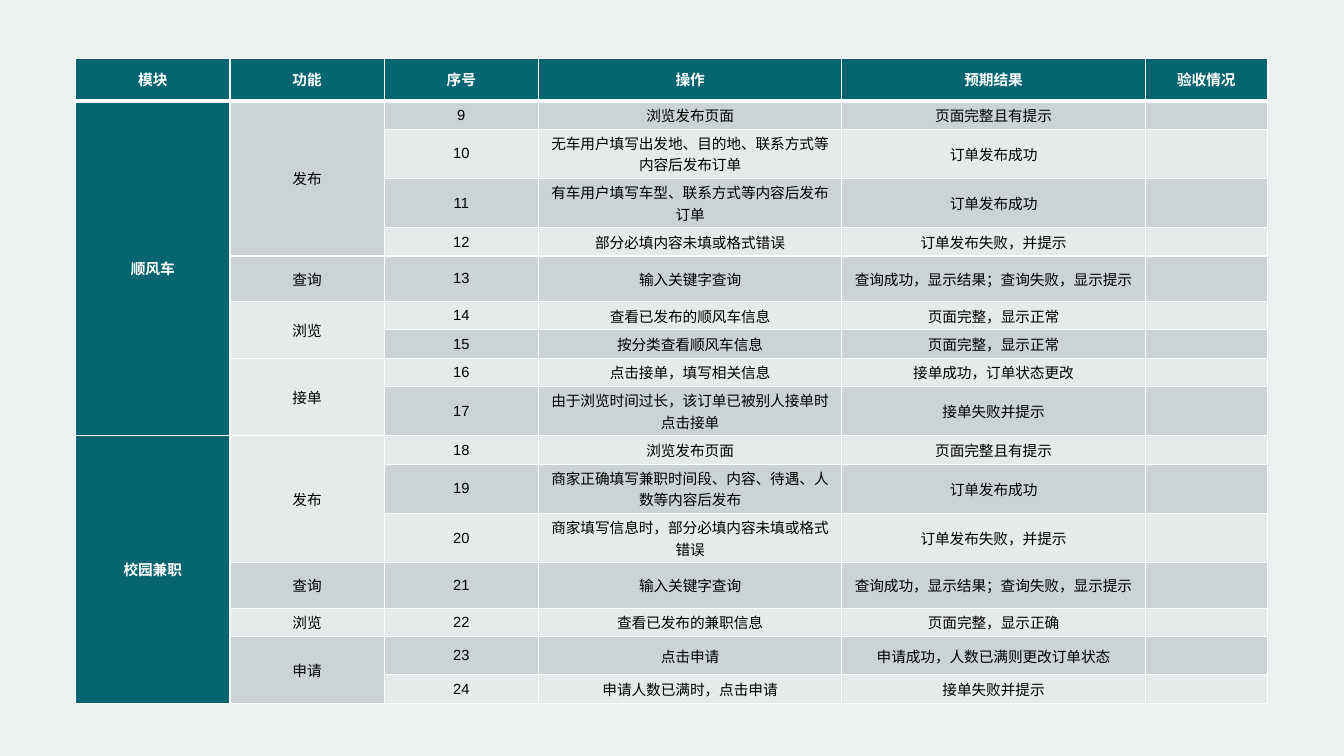
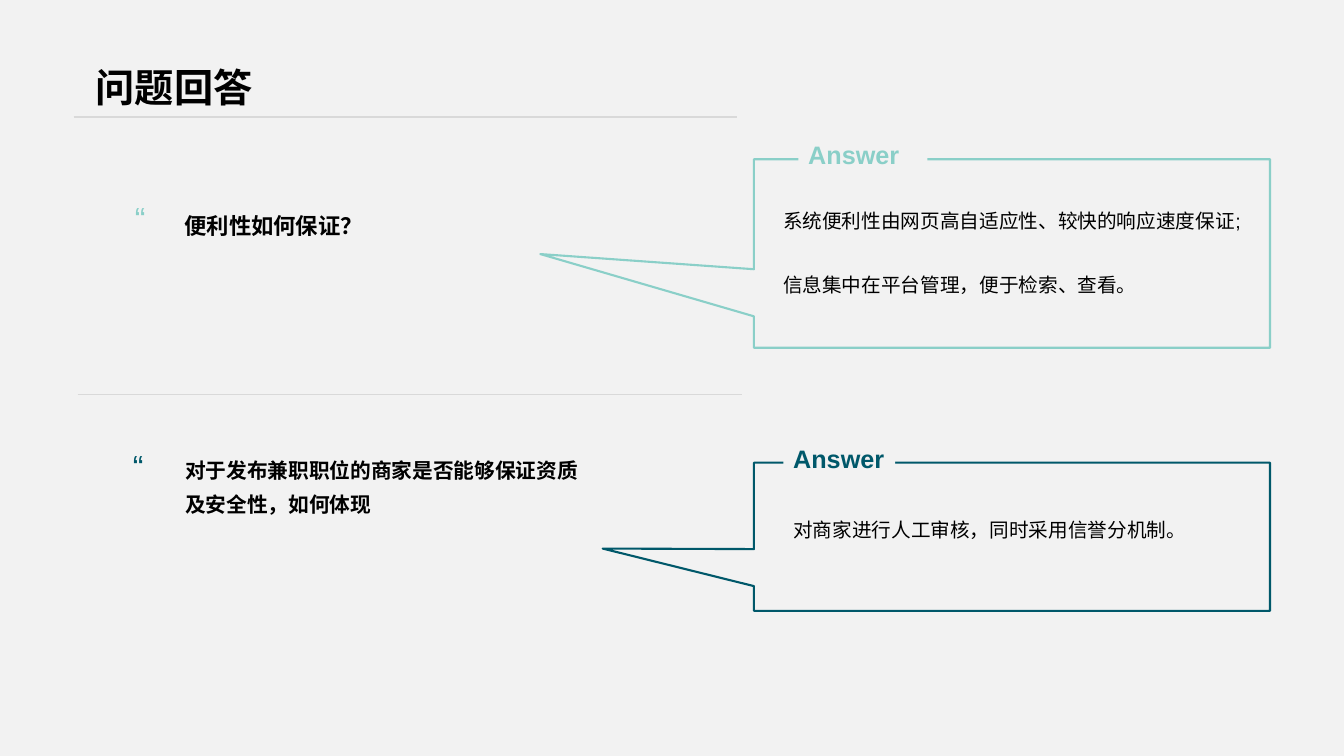
from dataclasses import dataclass

from lxml.etree import SubElement
from pptx import Presentation
from pptx.dml.color import RGBColor
from pptx.enum.shapes import MSO_CONNECTOR, MSO_SHAPE
from pptx.enum.text import MSO_ANCHOR, MSO_AUTO_SIZE, PP_ALIGN
from pptx.oxml import parse_xml
from pptx.oxml.ns import nsdecls, qn
from pptx.util import Inches, Pt


@dataclass(frozen=True)
class Theme:
    font: str = "Arial"
    table_page: str = "EDF0F0"
    answer_page: str = "F2F2F2"
    header: str = "076572"
    dark_stripe: str = "CCD3D5"
    light_stripe: str = "E7EAEB"
    mint: str = "8ACFC8"
    petrol: str = "00586A"
    rule: str = "D9D9D9"
    ink: str = "000000"
    white: str = "FFFFFF"
    title_size: float = 28
    quote_size: float = 22.8
    label_size: float = 18
    question_size: float = 16
    long_question_size: float = 14.8
    answer_size: float = 14
    table_size: float = 10.5


THEME = Theme()
TITLE_ONLY, BLANK = 5, 6

# Table measures, in percent of the slide's width and height
COLUMN_WIDTHS = [11.48, 11.48, 11.48, 22.58, 22.58, 9.08]
HEADER_HEIGHT, SINGLE, MEDIUM, TALL, DOUBLE = 5.6, 3.75, 5.07, 6, 6.53

HEADINGS = ["模块", "功能", "序号", "操作", "预期结果", "验收情况"]
FIRST_NUMBER = 9
# Module -> function -> (operation, expected result, row height)
TESTS = {
    "顺风车": {
        "发布": [
            ("浏览发布页面", "页面完整且有提示", SINGLE),
            ("无车用户填写出发地、目的地、联系方式等内容后发布订单", "订单发布成功", DOUBLE),
            ("有车用户填写车型、联系方式等内容后发布订单", "订单发布成功", DOUBLE),
            ("部分必填内容未填或格式错误", "订单发布失败，并提示", SINGLE),
        ],
        "查询": [("输入关键字查询", "查询成功，显示结果；查询失败，显示提示", TALL)],
        "浏览": [
            ("查看已发布的顺风车信息", "页面完整，显示正常", SINGLE),
            ("按分类查看顺风车信息", "页面完整，显示正常", SINGLE),
        ],
        "接单": [
            ("点击接单，填写相关信息", "接单成功，订单状态更改", SINGLE),
            ("由于浏览时间过长，该订单已被别人接单时点击接单", "接单失败并提示", DOUBLE),
        ],
    },
    "校园兼职": {
        "发布": [
            ("浏览发布页面", "页面完整且有提示", SINGLE),
            ("商家正确填写兼职时间段、内容、待遇、人数等内容后发布", "订单发布成功", DOUBLE),
            ("商家填写信息时，部分必填内容未填或格式错误", "订单发布失败，并提示", DOUBLE),
        ],
        "查询": [("输入关键字查询", "查询成功，显示结果；查询失败，显示提示", TALL)],
        "浏览": [("查看已发布的兼职信息", "页面完整，显示正确", SINGLE)],
        "申请": [
            ("点击申请", "申请成功，人数已满则更改订单状态", MEDIUM),
            ("申请人数已满时，点击申请", "接单失败并提示", SINGLE),
        ],
    },
}


def rgb(color):
    return RGBColor.from_string(color)


def write(frame, *lines, size, color=THEME.ink, bold=False, align=PP_ALIGN.LEFT,
          anchor=MSO_ANCHOR.TOP, spacing=1.0, gap=0, wrap=True):
    """Fill a text frame with one paragraph per line; gap is the space between them."""
    frame.word_wrap = wrap
    frame.auto_size = MSO_AUTO_SIZE.NONE
    frame.vertical_anchor = anchor
    for index, line in enumerate(lines):
        para = frame.add_paragraph() if index else frame.paragraphs[0]
        para.alignment = align
        para.line_spacing = spacing
        para.space_before = Pt(gap if index else 0)
        span = para.add_run()
        span.text = line
        span.font.name = THEME.font
        span.font.size = Pt(size)
        span.font.bold = bold
        span.font.color.rgb = rgb(color)


def border_cell(cell, top=1, bottom=1):
    """Draw white borders; they must precede the fill in the cell's properties."""
    properties = cell._tc.get_or_add_tcPr()
    widths = {"lnL": 1, "lnR": 1, "lnT": top, "lnB": bottom}
    for index, (side, width) in enumerate(widths.items()):
        properties.insert(index, parse_xml(
            f'<a:{side} {nsdecls("a")} w="{Pt(width)}"><a:solidFill>'
            f'<a:srgbClr val="{THEME.white}"/></a:solidFill></a:{side}>'))


class Slides:
    """Holds the deck and current page; positions are percent of the slide's size."""

    def __init__(self, theme):
        self.theme = theme
        self.deck = Presentation()
        self.deck.slide_width = Inches(13.33)
        self.deck.slide_height = Inches(7.5)
        self.page = None

    def across(self, share):
        return round(self.deck.slide_width * share / 100)

    def down(self, share):
        return round(self.deck.slide_height * share / 100)

    def area(self, left, top, width, height):
        return self.across(left), self.down(top), self.across(width), self.down(height)

    def new_page(self, layout, color):
        self.page = self.deck.slides.add_slide(self.deck.slide_layouts[layout])
        self.page.background.fill.solid()
        self.page.background.fill.fore_color.rgb = rgb(color)

    def title(self, words):
        box = self.page.shapes.title
        box.left, box.top, box.width, box.height = self.area(7.13, 4, 30, 10.67)
        frame = box.text_frame
        frame.margin_left = frame.margin_right = frame.margin_top = frame.margin_bottom = 0
        write(frame, words, size=self.theme.title_size, bold=True,
              anchor=MSO_ANCHOR.BOTTOM, spacing=0.9)
        self.rule(5.48, 54.83, 15.47, 1.5)

    def rule(self, start, end, height, weight):
        line = self.page.shapes.add_connector(
            MSO_CONNECTOR.STRAIGHT, self.across(start), self.down(height),
            self.across(end), self.down(height))
        line.line.color.rgb = rgb(self.theme.rule)
        line.line.width = Pt(weight)
        SubElement(line._element.spPr, qn("a:effectLst"))

    def text(self, area, *lines, **style):
        box = self.page.shapes.add_textbox(*self.area(*area))
        write(box.text_frame, *lines, **style)

    def quote_mark(self, left, top, color):
        self.text((left, top, 3.38, 5.73), "“", size=self.theme.quote_size, color=color,
                  anchor=MSO_ANCHOR.MIDDLE, spacing=0.8)

    def callout(self, top, height, tip, color):
        shape = self.page.shapes.add_shape(
            MSO_SHAPE.RECTANGULAR_CALLOUT, *self.area(56.1, top, 38.4, height))
        shape.shadow.inherit = False
        shape.fill.background()
        shape.line.color.rgb = rgb(color)
        shape.line.width = Pt(1.5)
        shape.adjustments[0], shape.adjustments[1] = tip

    def answer_label(self, left, top, width, color):
        """Set a heading on the callout's upper edge, hiding the line behind it."""
        shape = self.page.shapes.add_shape(
            MSO_SHAPE.RECTANGLE, *self.area(left, top, width, 5.33))
        shape.shadow.inherit = False
        shape.fill.solid()
        shape.fill.fore_color.rgb = rgb(self.theme.answer_page)
        shape.line.fill.background()
        write(shape.text_frame, "Answer", size=self.theme.label_size, color=color,
              bold=True, wrap=False)

    def answer(self, left, top, *lines):
        self.text((left, top, 36.4, 16), *lines, size=self.theme.answer_size,
                  spacing=1.5, gap=20)

    def cell(self, cell, words, fill, heading=False, **borders):
        cell.fill.solid()
        cell.fill.fore_color.rgb = rgb(fill)
        cell.margin_left = cell.margin_right = Inches(0.06)
        cell.margin_top = cell.margin_bottom = Inches(0.03)
        cell.vertical_anchor = MSO_ANCHOR.MIDDLE
        border_cell(cell, **borders)
        para = cell.text_frame.paragraphs[0]
        para.alignment = PP_ALIGN.CENTER
        if words:
            span = para.add_run()
            span.text = words
            span.font.name = self.theme.font
            span.font.size = Pt(self.theme.table_size)
            span.font.bold = heading
            span.font.color.rgb = rgb(self.theme.white if heading else self.theme.ink)
        else:
            end = SubElement(para._p, qn("a:endParaRPr"))
            end.set("sz", str(round(self.theme.table_size * 100)))

    def test_table(self, left, top, tests):
        rows, heights, merges = [HEADINGS], [HEADER_HEIGHT], []
        for module, functions in tests.items():
            module_start = len(rows)
            for function, steps in functions.items():
                function_start = len(rows)
                for operation, result, height in steps:
                    number = str(FIRST_NUMBER + len(rows) - 1)
                    rows.append([module if len(rows) == module_start else "",
                                 function if len(rows) == function_start else "",
                                 number, operation, result, ""])
                    heights.append(height)
                merges.append((1, function_start, len(rows) - 1))
            merges.append((0, module_start, len(rows) - 1))

        table = self.page.shapes.add_table(
            len(rows), len(HEADINGS),
            *self.area(left, top, sum(COLUMN_WIDTHS), sum(heights))).table
        for column, width in zip(table.columns, COLUMN_WIDTHS):
            column.width = self.across(width)
        for index, (words, height) in enumerate(zip(rows, heights)):
            table.rows[index].height = self.down(height)
            stripe = self.theme.dark_stripe if index % 2 else self.theme.light_stripe
            for column, word in enumerate(words):
                heading = index == 0 or column == 0
                self.cell(table.cell(index, column), word,
                          self.theme.header if heading else stripe, heading,
                          top=3 if index == 1 else 1, bottom=3 if index == 0 else 1)
        for column, first, last in merges:
            if last > first:
                table.cell(first, column).merge(table.cell(last, column))


def build_test_page(slides):
    slides.new_page(BLANK, THEME.table_page)
    slides.test_table(5.63, 7.73, TESTS)


def build_answer_page(slides):
    slides.new_page(TITLE_ONLY, THEME.answer_page)
    slides.title("问题回答")
    slides.rule(5.78, 55.2, 52.13, 0.25)

    slides.quote_mark(9.3, 26.4, THEME.mint)
    slides.text((12.98, 25.6, 37.5, 10), "便利性如何保证？",
                size=THEME.question_size, bold=True, spacing=1.5)
    slides.callout(21.07, 24.93, (-0.914, 0.003), THEME.mint)
    slides.answer_label(59.4, 17.73, 9.6, THEME.mint)
    slides.answer(57.53, 25.47, "系统便利性由网页高自适应性、较快的响应速度保证;",
                  "信息集中在平台管理，便于检索、查看。")

    slides.quote_mark(9.15, 59.2, THEME.petrol)
    slides.text((13.05, 58.53, 31.95, 10.27),
                "对于发布兼职职位的商家是否能够保证资质及安全性，如何体现",
                size=THEME.long_question_size, bold=True, spacing=1.4)
    slides.callout(61.2, 19.6, (-0.793, 0.08), THEME.petrol)
    slides.answer_label(58.28, 58, 8.33, THEME.petrol)
    slides.answer(58.28, 66.27, "对商家进行人工审核，同时采用信誉分机制。")


def main():
    slides = Slides(THEME)
    build_test_page(slides)
    build_answer_page(slides)
    slides.deck.save("out.pptx")


if __name__ == "__main__":
    main()
